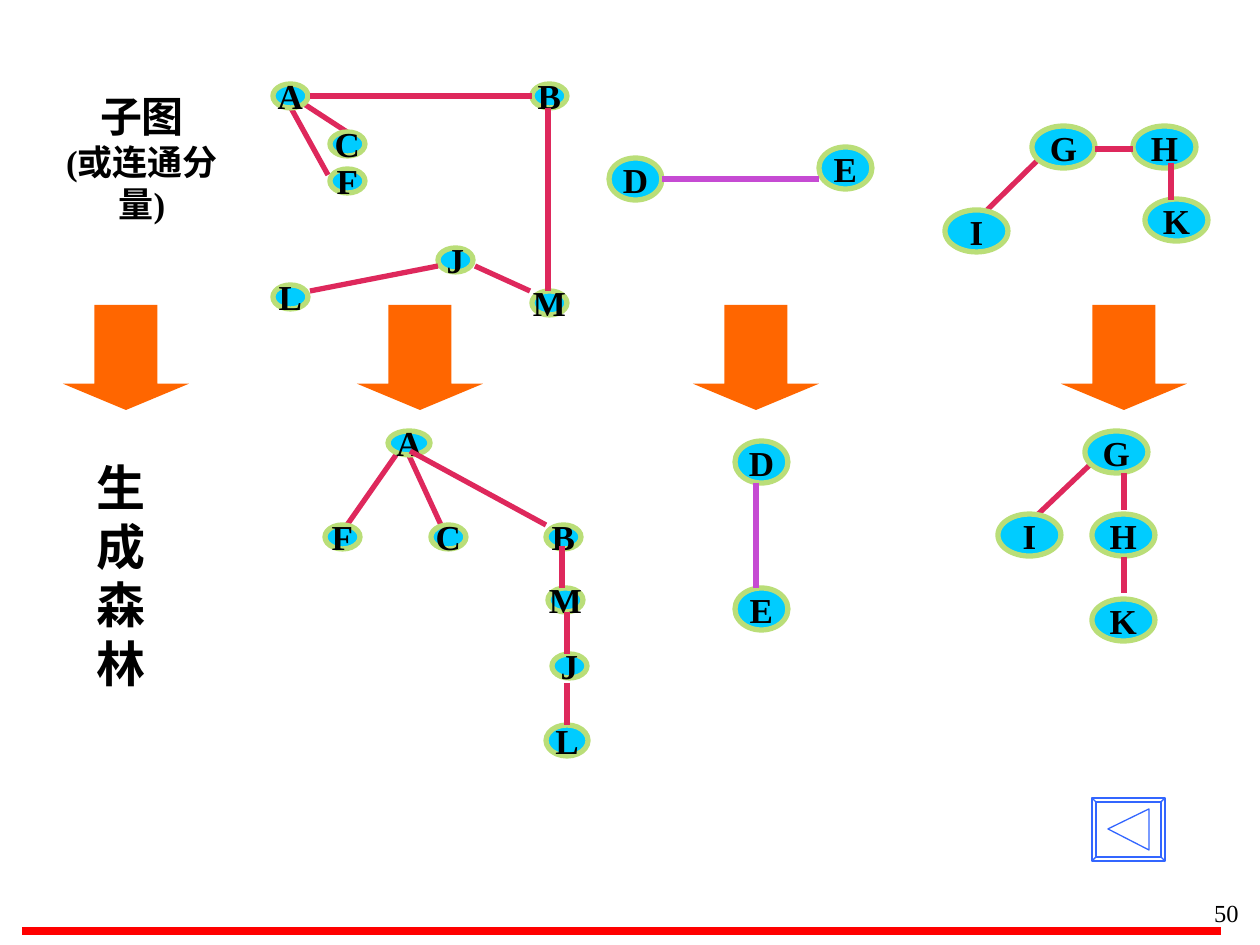
"""Build a slide that turns the connected components of a graph into a spanning forest."""
from pptx import Presentation
from pptx.dml.color import RGBColor
from pptx.enum.shapes import MSO_CONNECTOR, MSO_SHAPE
from pptx.enum.text import MSO_ANCHOR, PP_ALIGN
from pptx.oxml.ns import qn
from pptx.util import Pt
from lxml.etree import SubElement

PX = 914400 / 126
FONT = "Times New Roman"
COLOURS = {
    "text": "000000", "number": "010000", "node": "00CCFF", "ring": "BADE78",
    "crimson": "DE285C", "violet": "C64BD3", "arrow": "FF6600",
    "rule": "FF0000", "button": "3366FF",
}

SMALL, MEDIUM, LARGE = (35, 24), (53, 42), (63, 42)
GRAPHS = [
    {"size": MEDIUM, "edge": "violet", "under": [],
     "nodes": [("D", 609, 158), ("E", 819, 147)],
     "over": [(662, 179, 819, 179)]},
    {"size": LARGE, "edge": "crimson", "under": [(1042, 156, 983, 214)],
     "nodes": [("G", 1032, 126), ("H", 1133, 126), ("I", 945, 210), ("K", 1145, 199)],
     "over": [(1095, 149, 1133, 149), (1171, 163, 1171, 200)]},
    {"size": SMALL, "edge": "crimson",
     "under": [(301, 102, 347, 132), (291, 108, 328, 175)],
     "nodes": [("A", 273, 84), ("B", 532, 84), ("C", 330, 132), ("F", 330, 169),
               ("J", 438, 248), ("L", 273, 285), ("M", 532, 291)],
     "over": [(310, 96, 532, 96), (548, 108, 548, 291),
              (475, 266, 530, 291), (310, 291, 438, 266)]},
    {"size": SMALL, "edge": "crimson",
     "under": [(406, 449, 441, 525), (396, 455, 347, 525)],
     "nodes": [("A", 388, 431, 42, 24), ("B", 546, 525), ("C", 431, 525),
               ("F", 325, 525), ("J", 552, 654), ("L", 546, 725, 42, 31),
               ("M", 548, 588)],
     "over": [(410, 451, 546, 525), (562, 546, 562, 588),
              (567, 612, 567, 654), (567, 683, 567, 725)]},
    {"size": MEDIUM, "edge": "violet", "under": [],
     "nodes": [("D", 735, 441), ("E", 735, 588)],
     "over": [(756, 483, 756, 588)]},
    {"size": LARGE, "edge": "crimson", "under": [(1095, 460, 1034, 518)],
     "nodes": [("G", 1085, 431), ("H", 1092, 514), ("I", 998, 514), ("K", 1092, 599)],
     "over": [(1124, 473, 1124, 510), (1124, 557, 1124, 593)]},
]
ARROW_LEFTS = [63, 357, 693, 1061]
LABELS = [
    ((32, 84, 220, 147), [("子图", 24), ("(或连通分量)", 20)], PP_ALIGN.CENTER, "text", True),
    ((84, 451, 84, 248), [("生成森林", 28)], PP_ALIGN.LEFT, "text", True),
    ((1155, 892, 96, 53), [("50", 14)], PP_ALIGN.RIGHT, "number", False),
]
BUTTON = (1092, 798, 1165, 861)
BEVEL = 4
TRIANGLE = [(1149, 809), (1108, 829), (1149, 850)]


def emu(*lengths):
    return [round(length * PX) for length in lengths]


def colour(name):
    return RGBColor.from_string(COLOURS[name])


def write(frame, lines, align, ink, bold):
    frame.text = "\n".join(text for text, size in lines)
    for para, (text, size) in zip(frame.paragraphs, lines):
        para.alignment = align
        for span in para.runs:
            span.font.name = FONT
            span.font.size = Pt(size)
            span.font.bold = bold
            span.font.color.rgb = colour(ink)


def add_line(shapes, ends, ink, width):
    line = shapes.add_connector(MSO_CONNECTOR.STRAIGHT, *emu(*ends))
    line.line.color.rgb = colour(ink)
    line.line.width = Pt(width)
    SubElement(line._element.spPr, qn("a:effectLst"))


def add_node(shapes, letter, bounds):
    node = shapes.add_shape(MSO_SHAPE.OVAL, *emu(*bounds))
    node.shadow.inherit = False
    node.fill.solid()
    node.fill.fore_color.rgb = colour("node")
    node.line.color.rgb = colour("ring")
    node.line.width = Pt(3)
    node.text_frame.word_wrap = False
    node.text_frame.vertical_anchor = MSO_ANCHOR.MIDDLE
    write(node.text_frame, [(letter, 20)], PP_ALIGN.CENTER, "text", True)


def add_graph(page, graph):
    shapes = page.shapes.add_group_shape().shapes
    for ends in graph["under"]:
        add_line(shapes, ends, graph["edge"], 3)
    for letter, left, top, *size in graph["nodes"]:
        add_node(shapes, letter, (left, top, *(size or graph["size"])))
    for ends in graph["over"]:
        add_line(shapes, ends, graph["edge"], 3)


def add_arrow(page, left):
    arrow = page.shapes.add_shape(MSO_SHAPE.DOWN_ARROW, *emu(left, 305, 126, 105))
    arrow.adjustments[0] = 0.5
    arrow.adjustments[1] = 0.25
    arrow.shadow.inherit = False
    arrow.fill.solid()
    arrow.fill.fore_color.rgb = colour("arrow")
    arrow.line.fill.background()


def add_label(page, bounds, lines, align, ink, bold):
    box = page.shapes.add_textbox(*emu(*bounds))
    box.text_frame.word_wrap = True
    write(box.text_frame, lines, align, ink, bold)


def add_button(page):
    left, top, right, bottom = BUTTON
    outer = [(left, top), (right, top), (right, bottom), (left, bottom)]
    left, top, right, bottom = left + BEVEL, top + BEVEL, right - BEVEL, bottom - BEVEL
    inner = [(left, top), (right, top), (right, bottom), (left, bottom)]
    builder = page.shapes.build_freeform(*outer[0], scale=PX)
    builder.add_line_segments(outer[1:], close=True)
    for outline in (inner, TRIANGLE):
        builder.move_to(*outline[0])
        builder.add_line_segments(outline[1:], close=True)
    for corner, inset in zip(outer, inner):
        builder.move_to(*corner)
        builder.add_line_segments([inset], close=False)
    button = builder.convert_to_shape()
    button.shadow.inherit = False
    button.fill.background()
    button.line.color.rgb = colour("button")
    button.line.width = Pt(0.75)


def main():
    deck = Presentation()
    deck.slide_width, deck.slide_height = emu(1260, 945)
    page = deck.slides.add_slide(deck.slide_layouts[6])
    add_line(page.shapes, (22, 931, 1221, 931), "rule", 4.5)
    add_button(page)
    for graph in GRAPHS:
        add_graph(page, graph)
    for left in ARROW_LEFTS:
        add_arrow(page, left)
    for label in LABELS:
        add_label(page, *label)
    deck.save("out.pptx")


if __name__ == "__main__":
    main()
